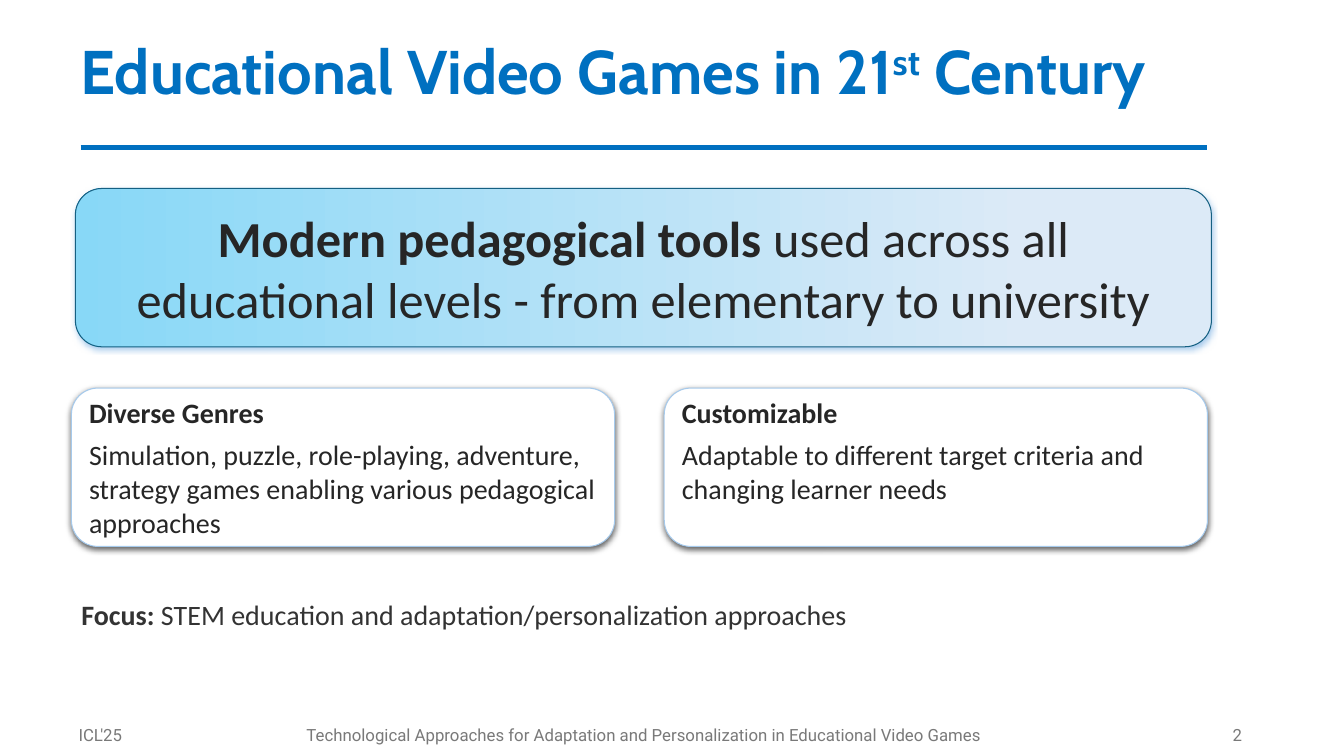
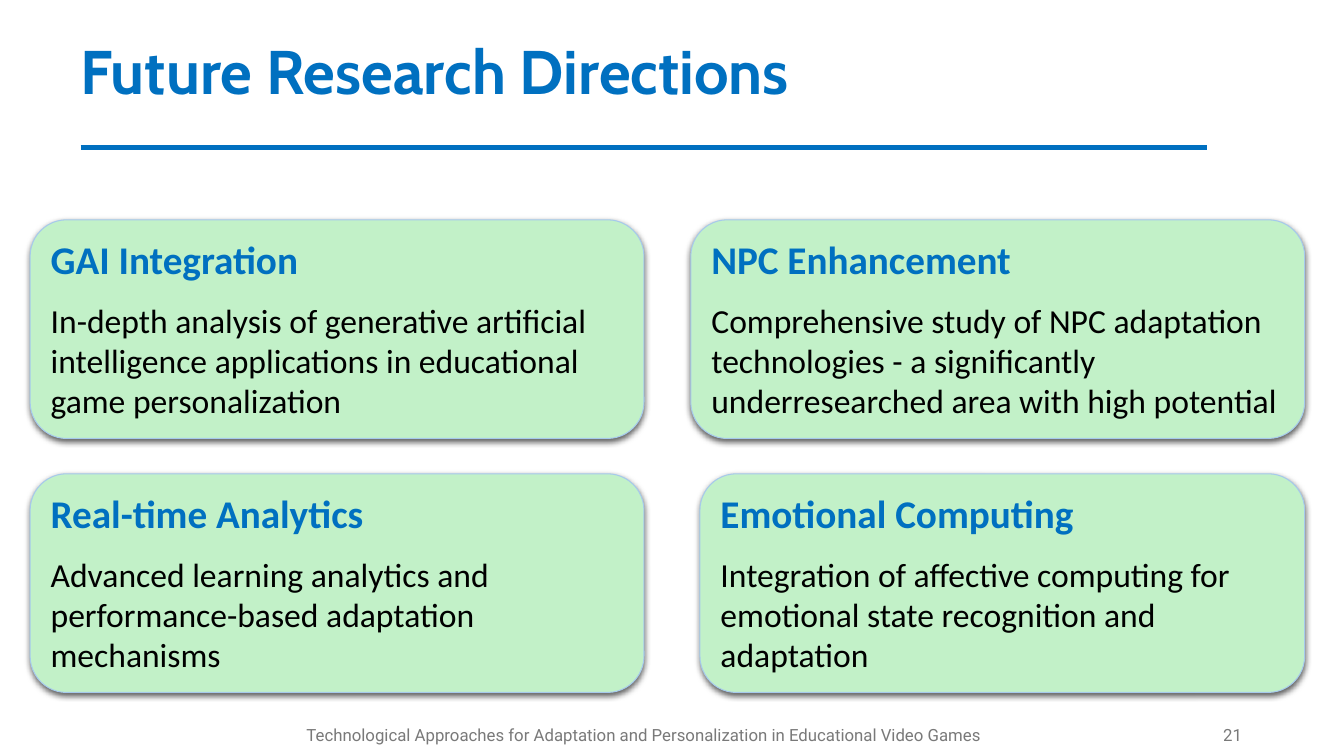
from dataclasses import dataclass

from lxml import etree
from pptx import Presentation
from pptx.dml.color import RGBColor
from pptx.enum.shapes import MSO_CONNECTOR as Connector, MSO_SHAPE as Preset
from pptx.enum.text import MSO_ANCHOR as Anchor, PP_ALIGN as Align
from pptx.oxml.ns import qn
from pptx.util import Cm, Pt

BLUE = "0070C0"
DARK = "262626"
FOCUS_GREY = "333333"
FOOTER_GREY = "797979"
PALE_BLUE = "A6CAEC"
BODY_FONT = "Calibri"
TALK = "Technological Approaches for Adaptation and Personalization in Educational Video Games"


@dataclass(frozen=True)
class Area:
    left: float
    top: float
    width: float
    height: float

    def lengths(self) -> tuple:
        return Cm(self.left), Cm(self.top), Cm(self.width), Cm(self.height)


@dataclass(frozen=True)
class Shadow:
    color: str
    opacity: int
    blur: float
    distance: float = 1.5


@dataclass(frozen=True)
class CardStyle:
    fill: str
    heading_color: str
    heading_size: int
    body_color: str
    body_size: int
    gap: int
    vertical_inset: float


@dataclass(frozen=True)
class Card:
    area: Area
    heading: str
    body: str


CARD_SHADOW = Shadow("000000", 63, 4.5)
BANNER_SHADOW = Shadow(PALE_BLUE, 100, 4)
WHITE_CARD = CardStyle("FFFFFF", DARK, 20, DARK, 20, 6, 0)
GREEN_CARD = CardStyle("C2F1C8", BLUE, 28, "000000", 24, 12, 0.13)


def rgb(value: str) -> RGBColor:
    return RGBColor.from_string(value)


def add_text(frame, text: str, *, size: float, color: str, font: str = BODY_FONT,
             bold: bool = False, align=Align.LEFT, after: float = 0,
             spacing: float = 1, baseline: int = 0, same_line: bool = False):
    para = frame.paragraphs[-1]
    if para.runs and not same_line:
        para = frame.add_paragraph()
    para.alignment = align
    para.space_after = Pt(after)
    para.line_spacing = spacing
    span = para.add_run()
    span.text = text
    span.font.size = Pt(size)
    span.font.name = font
    span.font.bold = bold
    span.font.color.rgb = rgb(color)
    if baseline:
        span._r.get_or_add_rPr().set("baseline", str(baseline * 1000))


def add_frame(page, area: Area, anchor=Anchor.MIDDLE):
    frame = page.shapes.add_textbox(*area.lengths()).text_frame
    frame.word_wrap = True
    frame.vertical_anchor = anchor
    return frame


def add_shadow(box, shadow: Shadow):
    box.shadow.inherit = False
    effects = box._element.spPr.find(qn("a:effectLst"))
    outer = etree.SubElement(effects, qn("a:outerShdw"), blurRad=str(Pt(shadow.blur)),
                             dist=str(Pt(shadow.distance)), dir="5400000",
                             algn="t", rotWithShape="0")
    tint = etree.SubElement(outer, qn("a:srgbClr"), val=shadow.color)
    etree.SubElement(tint, qn("a:alpha"), val=str(shadow.opacity * 1000))


def add_rounded(page, area: Area, line: str, width: float, shadow: Shadow):
    box = page.shapes.add_shape(Preset.ROUNDED_RECTANGLE, *area.lengths())
    box.line.color.rgb = rgb(line)
    box.line.width = Pt(width)
    add_shadow(box, shadow)
    box.text_frame.word_wrap = True
    return box


def add_card(page, card: Card, style: CardStyle):
    box = add_rounded(page, card.area, PALE_BLUE, 0.75, CARD_SHADOW)
    box.fill.solid()
    box.fill.fore_color.rgb = rgb(style.fill)
    frame = box.text_frame
    frame.vertical_anchor = Anchor.TOP
    frame.margin_top = frame.margin_bottom = Cm(style.vertical_inset)
    add_text(frame, card.heading, size=style.heading_size, color=style.heading_color,
             bold=True, after=style.gap)
    add_text(frame, card.body, size=style.body_size, color=style.body_color)


def add_banner(page, area: Area, strong: str, rest: str):
    box = add_rounded(page, area, "156082", 0, BANNER_SHADOW)
    box.fill.gradient()
    box.fill.gradient_angle = 180
    stops = ((0.16, "DCEAF7"), (1, "88D8F7"))
    for stop, (position, color) in zip(box.fill.gradient_stops, stops):
        stop.position = position
        stop.color.rgb = rgb(color)
    box.text_frame.vertical_anchor = Anchor.MIDDLE
    add_text(box.text_frame, strong, size=36, color=DARK, bold=True, align=Align.CENTER)
    add_text(box.text_frame, rest, size=36, color=DARK, align=Align.CENTER, same_line=True)


def add_title(page, *pieces: tuple[str, int]):
    frame = add_frame(page, Area(0, 0.03, 33.87, 3.68))
    frame.margin_left = Cm(2.03)
    for text, baseline in pieces:
        add_text(frame, text, size=44, color=BLUE, font="Cabin", bold=True,
                 spacing=0.9, baseline=baseline, same_line=True)
    rule = page.shapes.add_connector(Connector.STRAIGHT, Cm(2.03), Cm(3.71), Cm(30.43), Cm(3.71))
    rule.line.color.rgb = rgb(BLUE)
    rule.line.width = Pt(3.25)
    etree.SubElement(rule._element.spPr, qn("a:effectLst"))


def add_footer(page, number: int, event: str = ""):
    parts = (
        (str(number), 23.93, 7.62, Align.RIGHT),
        (TALK, 7.44, 17.58, Align.CENTER),
        (event, 1.73, 5.72, Align.LEFT),
    )
    for text, left, width, align in parts:
        if text:
            frame = add_frame(page, Area(left, 18.01, width, 1.02))
            add_text(frame, text, size=12, color=FOOTER_GREY, font="Roboto", align=align)


def build_games_page(page):
    add_title(page, ("Educational Video Games in 21", 0), ("st", 30), (" Century", 0))
    add_banner(page, Area(1.9, 4.75, 28.63, 3.99), "Modern pedagogical tools",
               " used across all educational levels - from elementary to university")
    features = (
        ("Diverse Genres", "Simulation, puzzle, role-playing, adventure, strategy games "
                           "enabling various pedagogical approaches"),
        ("Customizable", "Adaptable to different target criteria and changing learner needs"),
    )
    for column, (heading, body) in enumerate(features):
        area = Area(1.8 + column * 14.94, 9.78, 13.69, 3.99)
        add_card(page, Card(area, heading, body), WHITE_CARD)
    focus = add_frame(page, Area(1.8, 14.94, 28.42, 1.12), Anchor.TOP)
    add_text(focus, "Focus:", size=20, color=FOCUS_GREY, bold=True)
    add_text(focus, " STEM education and adaptation/personalization approaches",
             size=20, color=FOCUS_GREY, same_line=True)
    add_footer(page, 2, "ICL'25")


def build_research_page(page):
    add_title(page, ("Future Research Directions", 0))
    width, height, left, right_edge = 15.47, 5.51, 0.76, 32.88
    top, bottom = 5.54, 11.94
    narrow = 15.24
    cards = (
        Card(Area(left, top, width, height), "GAI Integration",
             "In-depth analysis of generative artificial intelligence applications "
             "in educational game personalization"),
        Card(Area(right_edge - width, top, width, height), "NPC Enhancement",
             "Comprehensive study of NPC adaptation technologies - a significantly "
             "underresearched area with high potential"),
        Card(Area(left, bottom, width, height), "Real-time Analytics",
             "Advanced learning analytics and performance-based adaptation mechanisms"),
        Card(Area(right_edge - narrow, bottom, narrow, height), "Emotional Computing",
             "Integration of affective computing for emotional state recognition and adaptation"),
    )
    for card in cards:
        add_card(page, card, GREEN_CARD)
    add_footer(page, 21)


def main():
    deck = Presentation()
    deck.slide_width, deck.slide_height = Cm(33.87), Cm(19.05)
    blank = deck.slide_layouts[6]
    for build in (build_games_page, build_research_page):
        build(deck.slides.add_slide(blank))
    deck.save("out.pptx")


if __name__ == "__main__":
    main()
